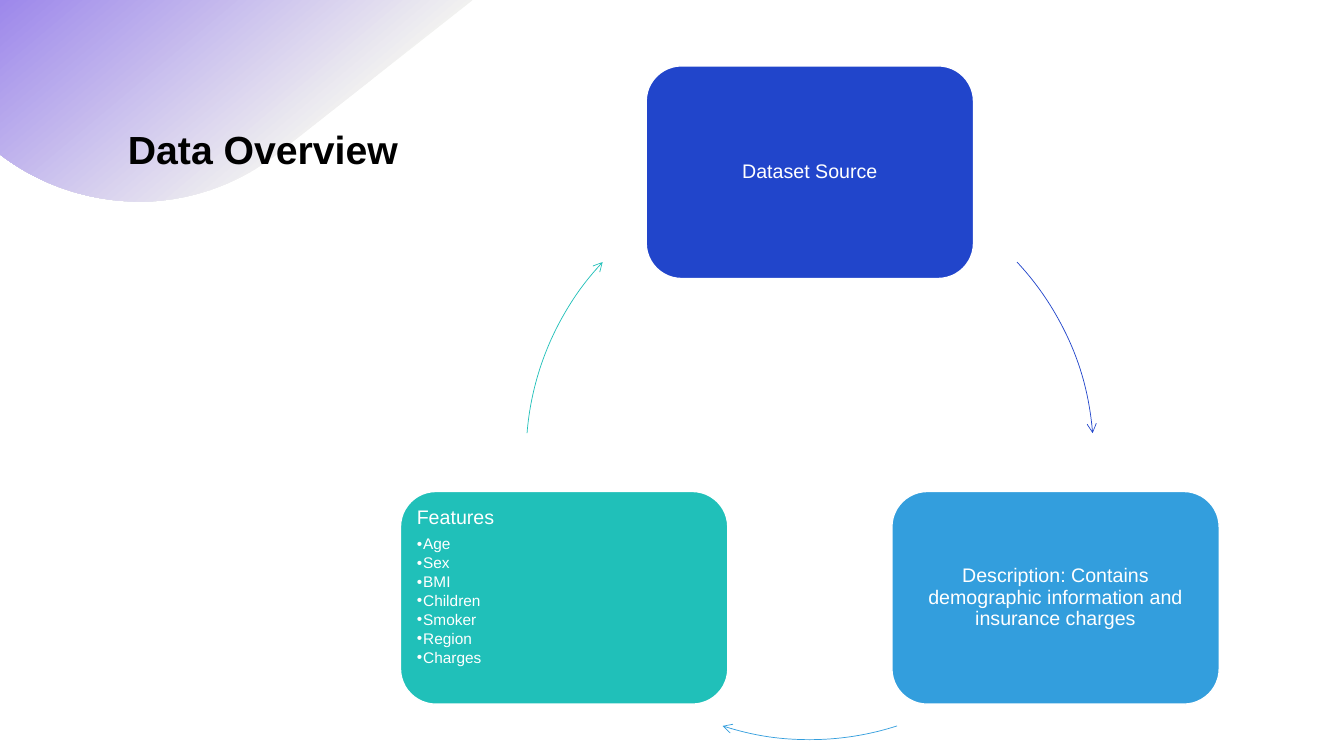
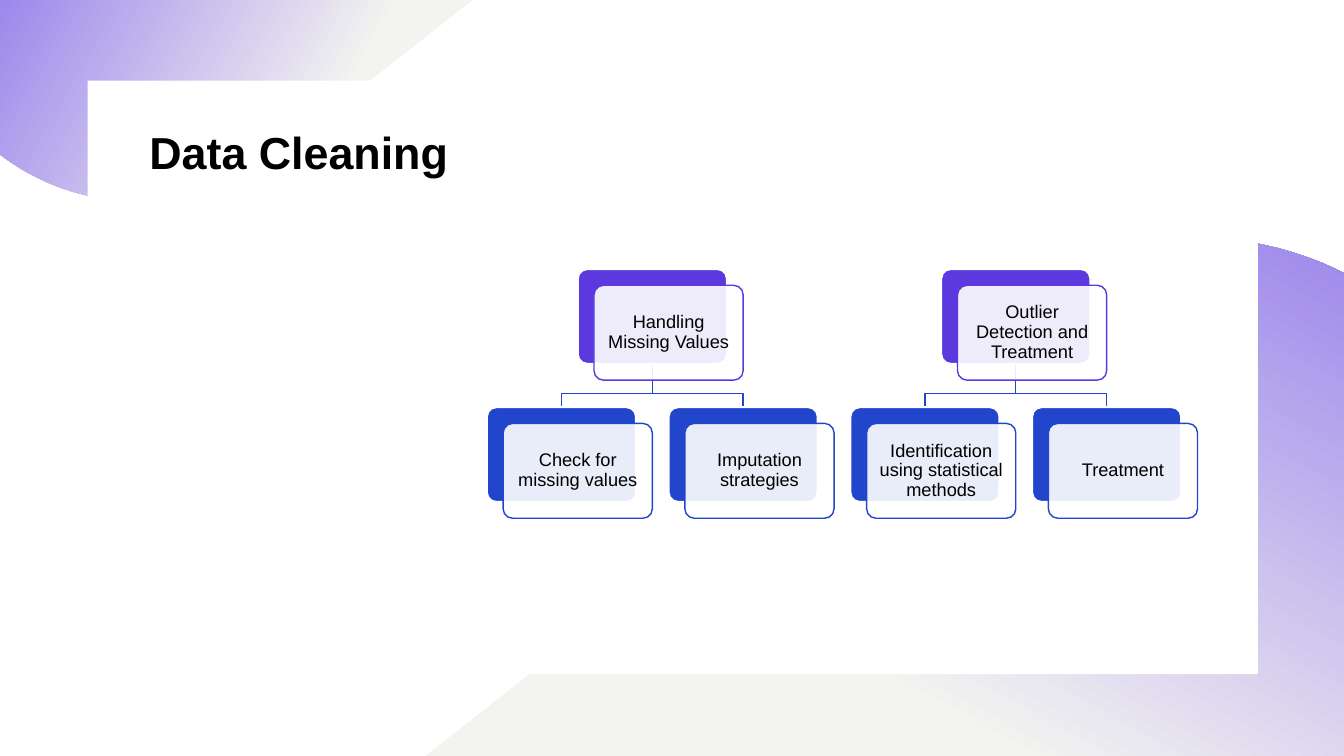
import math

import pptx
import pptx.dml.color
import pptx.enum.shapes
import pptx.enum.text
import pptx.oxml
import pptx.oxml.ns
import pptx.util

Cm = pptx.util.Cm
Pt = pptx.util.Pt
qn = pptx.oxml.ns.qn
ALIGN = pptx.enum.text.PP_ALIGN
ANCHOR = pptx.enum.text.MSO_ANCHOR
SHAPE = pptx.enum.shapes.MSO_SHAPE

# Shared style
FONT = "Arial"
BLACK, WHITE = "000000", "FFFFFF"
BLUE, SKY, TEAL, VIOLET = "2145CB", "339EDD", "20C0B9", "5B39DE"
PALE, LILAC = "F3F3F0", "9D88EB"
SLIDE_WIDTH, SLIDE_HEIGHT = 33.87, 19.05

# Outlines in cm: two numbers are a corner, six are a Bézier curve
TOP_WAVE = [
    (0, 0), (11.91, 0), (6.88, 3.96), (6.76, 4.04),
    (5.84, 4.7, 4.78, 5.03, 3.73, 5.08),
    (3.61, 5.08, 3.51, 5.08, 3.4, 5.08),
    (2.18, 5.05, 0.99, 4.65, 0, 3.89),
]
BOTTOM_WAVE = [
    (30.3, 5.99), (31.5, 6.02, 32.67, 6.3, 33.73, 6.81), (33.87, 6.88),
    (SLIDE_WIDTH, SLIDE_HEIGHT), (10.72, SLIDE_HEIGHT),
    (25.32, 7.59), (25.48, 7.47),
    (26.8, 6.55, 28.32, 6.07, 29.82, 5.99),
    (30, 5.99, 30.15, 5.99, 30.3, 5.99),
]


def color(value):
    return pptx.dml.color.RGBColor.from_string(value)


def make_xml(tag, **attributes):
    element = pptx.oxml.parse_xml(f"<a:{tag} {pptx.oxml.ns.nsdecls('a')}/>")
    for name, value in attributes.items():
        element.set(name, str(value))
    return element


def add_text(frame, text, size=14, text_color=WHITE, bold=False,
             align=ALIGN.CENTER, after=0, bullet=False):
    """Write one paragraph, using the empty first one when it is free."""
    paragraph = frame.paragraphs[0]
    if paragraph.runs:
        paragraph = frame.add_paragraph()
    if bullet:
        paragraph.level = 1
        properties = paragraph._p.get_or_add_pPr()
        properties.set("marL", str(Cm(0.16)))
        properties.set("indent", str(-Cm(0.16)))
        properties.append(make_xml("buFont", typeface=FONT))
        properties.append(make_xml("buChar", char="•"))
    paragraph.alignment = align
    paragraph.line_spacing = 0.9
    paragraph.space_after = Pt(after)
    run = paragraph.add_run()
    run.text = text
    run.font.name = FONT
    run.font.size = Pt(size)
    run.font.bold = bold
    run.font.color.rgb = color(text_color)


def style_shape(shape, fill=None, line=None, line_width=1):
    shape.shadow.inherit = False
    if fill is None:
        shape.fill.background()
    else:
        shape.fill.solid()
        shape.fill.fore_color.rgb = color(fill)
    if line is None:
        shape.line.fill.background()
    else:
        shape.line.color.rgb = color(line)
        shape.line.width = Pt(line_width)


def add_box(slide, left, top, width, height, fill, line=None, line_width=1,
            kind=SHAPE.ROUNDED_RECTANGLE, rounding=None, opacity=100,
            inset=0.15, anchor=ANCHOR.MIDDLE):
    shape = slide.shapes.add_shape(kind, Cm(left), Cm(top), Cm(width), Cm(height))
    style_shape(shape, fill, line, line_width)
    if opacity < 100:
        solid = shape.element.spPr.find(qn("a:solidFill"))
        solid[0].append(make_xml("alpha", val=opacity * 1000))
    if rounding is not None:
        shape.adjustments[0] = rounding
    frame = shape.text_frame
    frame.word_wrap = True
    frame.vertical_anchor = anchor
    frame.margin_left = frame.margin_right = Cm(inset)
    frame.margin_top = frame.margin_bottom = Cm(inset)
    return shape


def add_outline(slide, outline, close=False, line=None):
    """Draw corners and Bézier curves as one freeform."""
    points = [(Cm(part[i]), Cm(part[i + 1]))
              for part in outline for i in range(0, len(part), 2)]
    builder = slide.shapes.build_freeform(*points[0], scale=1.0)
    builder.add_line_segments(points[1:], close=False)
    shape = builder.convert_to_shape()
    style_shape(shape, line=line)
    # Join the three segments of each curve into one Bézier segment
    drawing = next(shape.element.iter(qn("a:path")))
    segments = iter(drawing.findall(qn("a:lnTo")))
    for part in outline[1:]:
        first = next(segments)
        if len(part) == 6:
            curve = make_xml("cubicBezTo")
            first.addprevious(curve)
            for segment in (first, next(segments), next(segments)):
                curve.append(segment[0])
                drawing.remove(segment)
    if close:
        drawing.append(make_xml("close"))
    return shape


def add_wave(slide, outline, angle):
    shape = add_outline(slide, outline, close=True)
    shape.fill.gradient()
    shape.fill.gradient_angle = angle
    stops = zip(shape.fill.gradient_stops, (0.32, 1), (PALE, LILAC))
    for stop, position, stop_color in stops:
        stop.position = position
        stop.color.rgb = color(stop_color)


def add_title(slide, text, left, top, width, height, size):
    title = slide.shapes.title
    title.left, title.top = Cm(left), Cm(top)
    title.width, title.height = Cm(width), Cm(height)
    frame = title.text_frame
    frame.word_wrap = True
    frame.auto_size = pptx.enum.text.MSO_AUTO_SIZE.NONE
    frame.vertical_anchor = ANCHOR.TOP
    add_text(frame, text, size=size, text_color=BLACK, bold=True, align=ALIGN.LEFT)
    # Keep the title in front of the background shapes
    title.element.getparent().append(title.element)


# Cycle diagram
def add_arc_arrow(slide, center_x, center_y, radius, angles, line):
    arrow = slide.shapes.add_shape(
        SHAPE.ARC, Cm(center_x - radius), Cm(center_y - radius),
        Cm(2 * radius), Cm(2 * radius))
    style_shape(arrow, line=line, line_width=0.5)
    for index, degrees in enumerate(angles):
        # Angles are stored in 60000ths of a degree, adjustments in 100000ths
        arrow.adjustments[index] = degrees * 0.6
    arrow.line._get_or_add_ln().append(make_xml("tailEnd", type="arrow"))


def add_cycle(slide):
    center_x, center_y, radius = 20.41, 11.49, 7.15
    width, height = 8.25, 5.36
    stages = [
        ("Dataset Source", [], BLUE, -90, (316.9, 355.4)),
        ("Description: Contains demographic information and insurance charges",
         [], SKY, 30, (72.1, 107.9)),
        ("Features",
         ["Age", "Sex", "BMI", "Children", "Smoker", "Region", "Charges"],
         TEAL, 150, (184.6, 223.1)),
    ]
    for heading, items, fill, degrees, arc in stages:
        x = center_x + radius * math.cos(math.radians(degrees))
        y = center_y + radius * math.sin(math.radians(degrees))
        box = add_box(slide, x - width / 2, y - height / 2, width, height, fill,
                      line=WHITE, anchor=ANCHOR.TOP if items else ANCHOR.MIDDLE)
        add_text(box.text_frame, heading, after=5.5 if items else 0,
                 align=ALIGN.LEFT if items else ALIGN.CENTER)
        for item in items:
            add_text(box.text_frame, item, size=11, align=ALIGN.LEFT,
                     after=1.6, bullet=True)
        add_arc_arrow(slide, center_x, center_y, radius, arc, fill)


# Tree diagram
def add_card(slide, left, top, text, accent):
    width, height, offset = 3.76, 2.39, 0.41
    add_box(slide, left, top, width, height, accent, line=WHITE,
            line_width=1.5, rounding=0.1)
    front = add_box(slide, left + offset, top + offset, width, height, WHITE,
                    line=accent, rounding=0.1, opacity=90, inset=0.13)
    add_text(front.text_frame, text, size=13, text_color=BLACK)


def add_trees(slide):
    first_left, pitch, half_width = 12.27, 4.58, 1.88
    parent_top, parent_bottom, bend, child_top = 6.78, 9.17, 9.91, 10.26
    trees = [
        ("Handling Missing Values",
         ["Check for missing values", "Imputation strategies"]),
        ("Outlier Detection and Treatment",
         ["Identification using statistical methods", "Treatment"]),
    ]
    for index, (parent, children) in enumerate(trees):
        lefts = [first_left + pitch * (2 * index + i) for i in range(len(children))]
        parent_left = sum(lefts) / len(lefts)
        stem = parent_left + half_width
        for left in lefts:
            branch = left + half_width
            add_outline(slide, [(stem, parent_bottom), (stem, bend),
                                (branch, bend), (branch, child_top)], line=BLUE)
        add_card(slide, parent_left, parent_top, parent, VIOLET)
        for left, child in zip(lefts, children):
            add_card(slide, left, child_top, child, BLUE)


def main():
    presentation = pptx.Presentation()
    presentation.slide_width = Cm(SLIDE_WIDTH)
    presentation.slide_height = Cm(SLIDE_HEIGHT)
    title_only = presentation.slide_layouts[5]

    # Data overview
    slide = presentation.slides.add_slide(title_only)
    add_wave(slide, TOP_WAVE, 130)
    add_title(slide, "Data Overview", 2.97, 3.16, 13.03, 5.31, size=28)
    add_cycle(slide)

    # Data cleaning
    slide = presentation.slides.add_slide(title_only)
    add_wave(slide, TOP_WAVE, 150)
    add_wave(slide, BOTTOM_WAVE, 61)
    add_box(slide, 2.21, 2.03, 29.49, 14.96, WHITE, kind=SHAPE.RECTANGLE)
    add_title(slide, "Data Cleaning", 3.51, 3.18, 12.34, 2.72, size=32)
    add_trees(slide)

    presentation.save("out.pptx")


if __name__ == "__main__":
    main()
